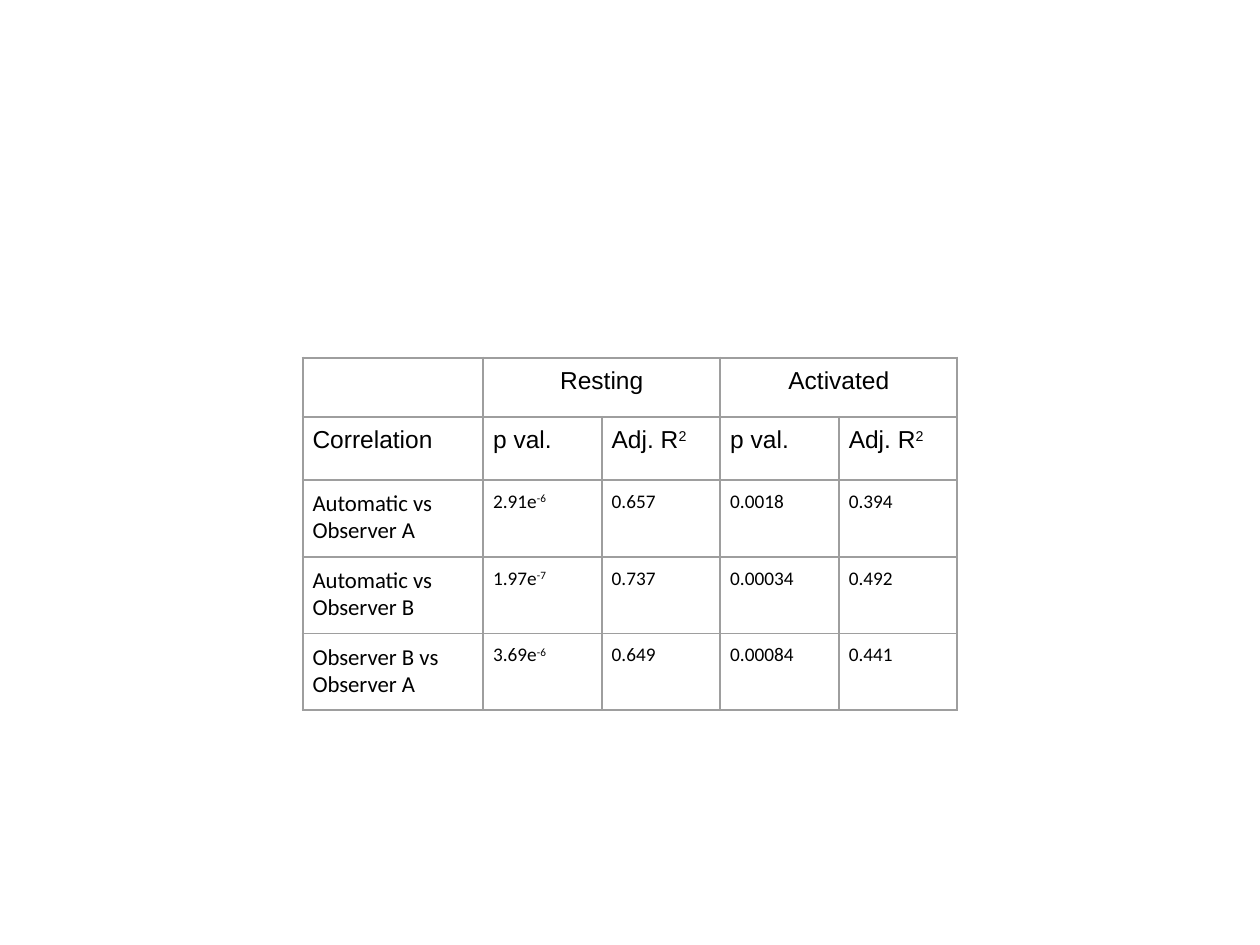
"""Build a slide with a table of observer correlation results."""
from pptx import Presentation
from pptx import util as u
from pptx.dml.color import RGBColor
from pptx.enum import text
from pptx.oxml import parse_xml
from pptx.oxml.ns import nsdecls

HEADERS = [
    ["", "Resting", "", "Activated", ""],
    ["Correlation", "p val.", "Adj. R^2", "p val.", "Adj. R^2"],
]
RESULTS = [
    ["Automatic vs Observer A", "2.91e^-6", "0.657", "0.0018", "0.394"],
    ["Automatic vs Observer B", "1.97e^-7", "0.737", "0.00034", "0.492"],
    ["Observer B vs Observer A", "3.69e^-6", "0.649", "0.00084", "0.441"],
]
GROUP_COLS = (1, 3)
LEFT, TOP, INSET = 6.1, 7.21, 0.2
COLS = [3.64] + [2.39] * 4
ROWS = [1.19, 1.27] + [1.55] * len(RESULTS)
THEME = {
    "header": {"name": "Arial", "size": u.Pt(14)},
    "label": {"name": "Calibri", "size": u.Pt(13)},
    "value": {"name": "Calibri", "size": u.Pt(11)},
    "ink": RGBColor(0, 0, 0),
    "border": "9E9E9E",
    "border_width": u.Pt(1.2),
}


def set_attrs(obj, values):
    for name, value in values.items():
        setattr(obj, name, value)


def add_borders(cell):
    tcPr = cell._tc.get_or_add_tcPr()
    for i, side in enumerate(("lnL", "lnR", "lnT", "lnB")):
        tcPr.insert(i, parse_xml(
            f'<a:{side} {nsdecls("a")} w="{THEME["border_width"]}"><a:solidFill>'
            f'<a:srgbClr val="{THEME["border"]}"/></a:solidFill></a:{side}>'))


def write_cell(cell, content, style):
    margins = ("margin_left", "margin_right", "margin_top", "margin_bottom")
    set_attrs(cell, dict.fromkeys(margins, u.Cm(INSET)))
    cell.fill.background()
    add_borders(cell)
    p = cell.text_frame.paragraphs[0]
    for i, part in enumerate(content.split("^") if content else []):
        r = p.add_run()
        r.text = part
        set_attrs(r.font, THEME[style])
        r.font.color.rgb = THEME["ink"]
        if i:
            r.font._element.set("baseline", "30000")
    return p


def add_results_table(s):
    data = HEADERS + RESULTS
    frame = s.shapes.add_table(len(ROWS), len(COLS), u.Cm(LEFT), u.Cm(TOP),
                               u.Cm(sum(COLS)), u.Cm(sum(ROWS)))
    table = frame.table
    set_attrs(table, {"first_row": False, "horz_banding": False})
    for col, width in zip(table.columns, COLS):
        col.width = u.Cm(width)
    for row, height in zip(table.rows, ROWS):
        row.height = u.Cm(height)
    for i, line in enumerate(data):
        for j, content in enumerate(line):
            style = "header" if i < len(HEADERS) else "value" if j else "label"
            p = write_cell(table.cell(i, j), content, style)
            if i == 0 and j in GROUP_COLS:
                p.alignment = text.PP_ALIGN.CENTER
    for j in GROUP_COLS:
        table.cell(0, j).merge(table.cell(0, j + 1))


def main():
    prs = Presentation()
    set_attrs(prs, {"slide_width": u.Cm(25.4), "slide_height": u.Cm(19.05)})
    s = prs.slides.add_slide(prs.slide_layouts[6])
    add_results_table(s)
    prs.save("out.pptx")


if __name__ == "__main__":
    main()
